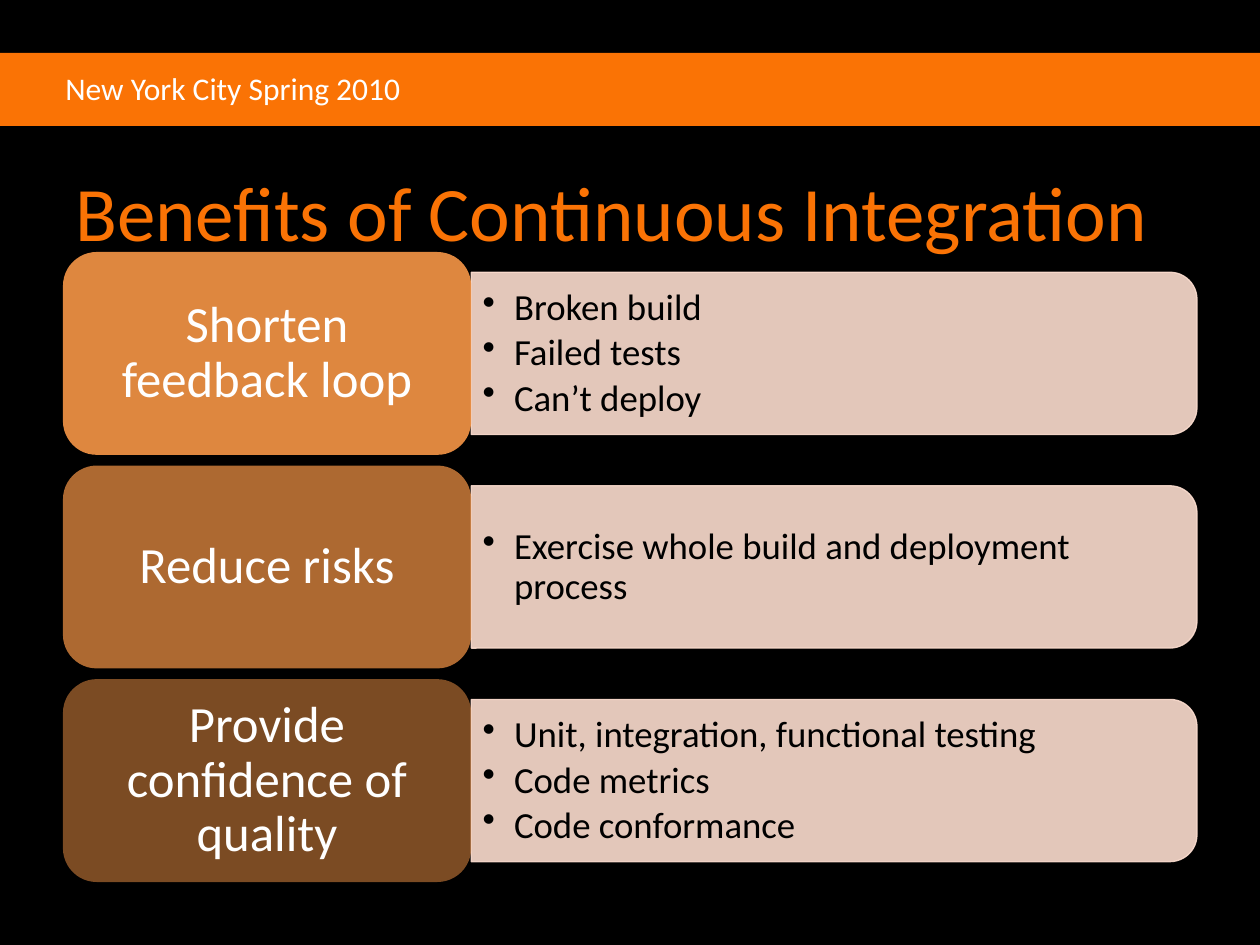
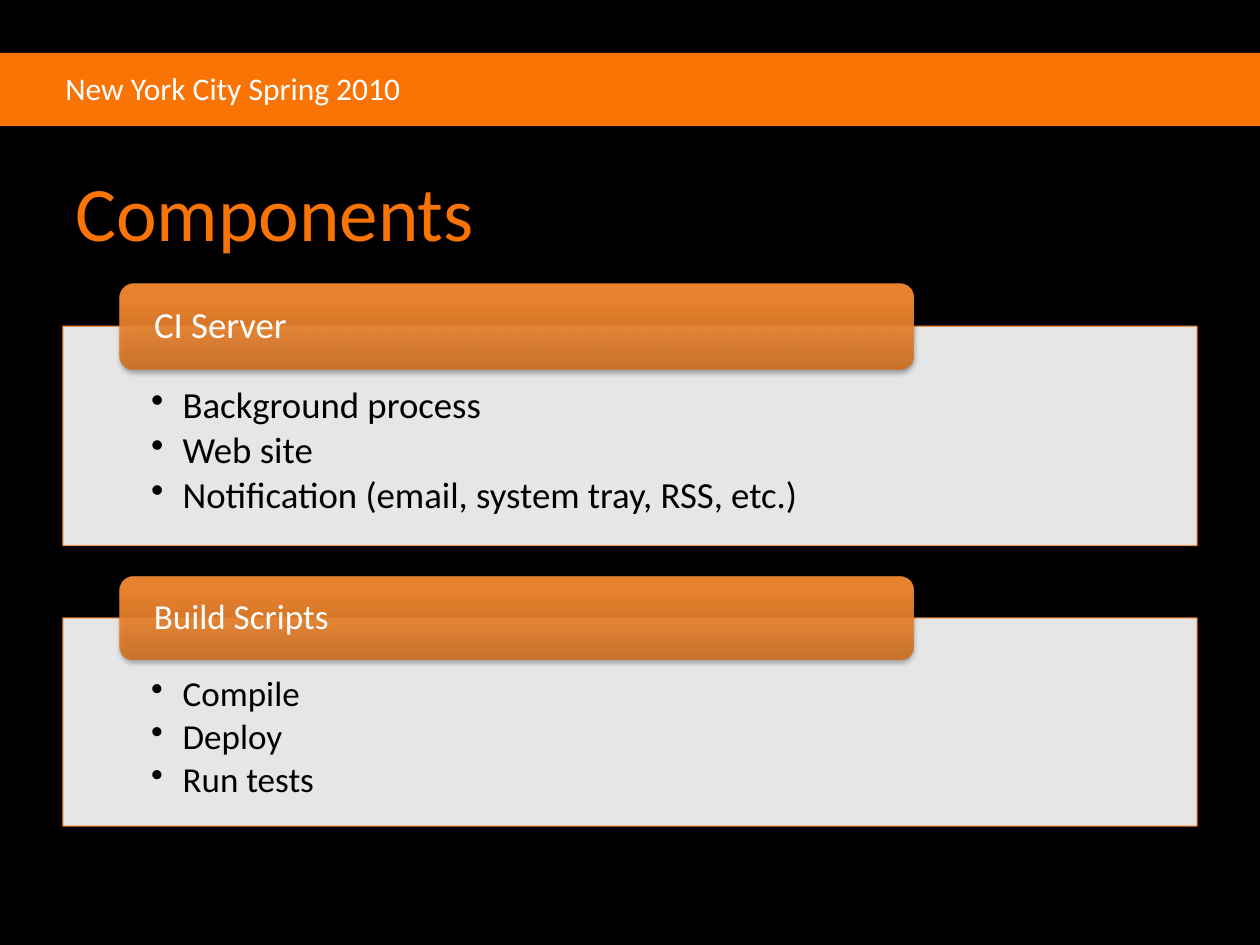
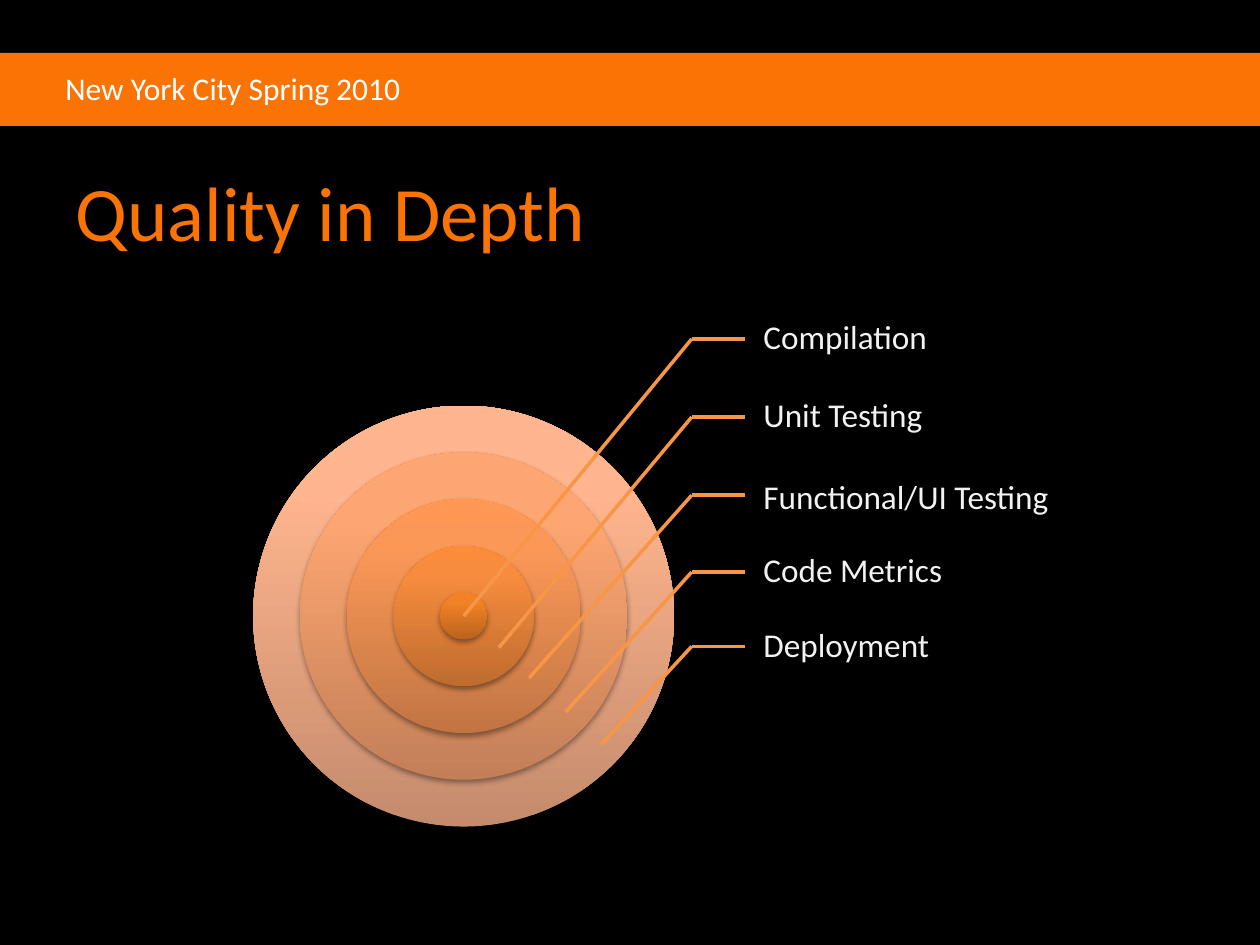
"""Build three continuous integration slides: benefits, components and quality in depth."""
import dataclasses

import lxml.etree
import pptx
import pptx.dml.color
import pptx.enum.shapes
import pptx.enum.text
import pptx.oxml.ns
import pptx.util

SHAPE = pptx.enum.shapes.MSO_SHAPE
ALIGN = pptx.enum.text.PP_ALIGN
ANCHOR = pptx.enum.text.MSO_ANCHOR
qn = pptx.oxml.ns.qn


@dataclasses.dataclass(frozen=True)
class Theme:
    font: str = "Calibri"
    back: str = "000000"
    brand: str = "FA7305"
    accent: str = "F79646"
    pale: str = "FCDDCF"
    light: str = "FFFFFF"
    dark: str = "000000"
    label: str = "F2F2F2"
    button: tuple = ("CC6E20", "FF9034", "FF9136")
    rings: tuple = (
        ("C48B6D", "FFB58D", "FFB68F"),
        ("C37F57", "FEA671", "FFA672"),
        ("C17543", "FB9857", "FF9854"),
        ("BE6C2F", "F78C3E", "FB8C3A"),
        ("B9641D", "F18226", "F68222"),
    )
    title_size: int = 44
    heading_size: int = 29
    body_size: int = 21
    label_size: int = 19
    event_size: int = 18


def rgb(color):
    return pptx.dml.color.RGBColor.from_string(color)


def add(parent, tag, **attrs):
    child = lxml.etree.SubElement(parent, qn(tag))
    for name, value in attrs.items():
        child.set(name, str(value))
    return child


class Deck:
    COLS = 10
    LEFT, WIDTH = 0.5, 9

    def __init__(self, theme):
        self.theme = theme
        self.prs = pptx.Presentation()
        self.prs.slide_width = pptx.util.Inches(10)
        self.prs.slide_height = pptx.util.Inches(7.5)
        self.cell = self.prs.slide_width / self.COLS
        fill = self.prs.slide_master.background.fill
        fill.solid()
        fill.fore_color.rgb = rgb(theme.back)

    def grid(self, *cells):
        return [round(n * self.cell) for n in cells]

    def new_slide(self, title):
        t = self.theme
        self.slide = self.prs.slides.add_slide(self.prs.slide_layouts[6])
        self.shape(SHAPE.RECTANGLE, (0, 0.42, 10, 0.58), t.brand)
        sp = self.text((0.42, 0.5, 2.89, 0.4), ["New York City Spring 2010"], t.event_size, t.light)
        sp.text_frame.word_wrap = False
        sp.text_frame.auto_size = pptx.enum.text.MSO_AUTO_SIZE.SHAPE_TO_FIT_TEXT
        self.text((self.LEFT, 1.17, self.WIDTH, 1), [title], t.title_size, t.brand,
                  anchor=ANCHOR.MIDDLE)

    def shape(self, kind, at, fill, line=None, alpha=100, shadow=None):
        sp = self.slide.shapes.add_shape(kind, *self.grid(*at))
        sp.shadow.inherit = False
        props = sp._element.spPr
        if isinstance(fill, tuple):
            self.gradient(sp, fill)
        else:
            sp.fill.solid()
            sp.fill.fore_color.rgb = rgb(fill)
        if line:
            sp.line.color.rgb = rgb(line)
            sp.line.width = pptx.util.Pt(0.75)
        else:
            sp.line.fill.background()
        if alpha < 100:
            for clr in props.iter(qn("a:srgbClr")):
                add(clr, "a:alpha", val=alpha * 1000)
        if shadow:
            opacity, distance = shadow
            outer = add(props.find(qn("a:effectLst")), "a:outerShdw", blurRad=pptx.util.Pt(3.1),
                        dist=pptx.util.Pt(distance), dir=90 * 60000, rotWithShape=0)
            add(add(outer, "a:srgbClr", val=self.theme.dark), "a:alpha", val=opacity * 1000)
        return sp

    def gradient(self, sp, colors):
        sp.fill.gradient()
        sp.fill.gradient_angle = 90
        stops = next(sp._element.spPr.iter(qn("a:gsLst")))
        del stops[:]
        for share, color in zip((0, 80, 100), colors):
            add(add(stops, "a:gs", pos=share * 1000), "a:srgbClr", val=color)

    def side_tab(self, x, y, w, h):
        at = (x + (w - h) / 2, y + (h - w) / 2, h, w)
        sp = self.shape(SHAPE.ROUND_2_SAME_RECTANGLE, at, self.theme.pale, self.theme.pale, 90)
        sp.rotation = 90

    def text(self, at, lines, size, color, **layout):
        sp = self.slide.shapes.add_textbox(*self.grid(*at))
        self.fill_text(sp, lines, size, color, **layout)
        return sp

    def fill_text(self, sp, lines, size, color, insets=(0.1, 0.05, 0.1, 0.05),
                  anchor=ANCHOR.TOP, align=ALIGN.LEFT, after=None, bullets=False):
        tf = sp.text_frame
        tf.word_wrap = True
        tf.vertical_anchor = anchor
        tf.margin_left, tf.margin_top, tf.margin_right, tf.margin_bottom = self.grid(*insets)
        tf.text = "\n".join(lines)
        for p in tf.paragraphs:
            p.alignment = align
            props = p._p.get_or_add_pPr()
            if after:
                p.line_spacing = 0.9
                add(add(props, "a:spcAft"), "a:spcPct", val=after * 1000)
            if bullets:
                p.level = 1
                indent, = self.grid(0.25)
                props.set("marL", str(indent))
                props.set("indent", str(-indent))
                add(props, "a:buChar", char="•")
            for r in p.runs:
                r.font.name = self.theme.font
                r.font.size = pptx.util.Pt(size)
                r.font.color.rgb = rgb(color)

    def line(self, start, end):
        sp = self.slide.shapes.add_connector(pptx.enum.shapes.MSO_CONNECTOR.STRAIGHT,
                                             *self.grid(*start, *end))
        sp.line.color.rgb = rgb(self.theme.accent)
        sp.line.width = pptx.util.Pt(2)
        add(sp._element.spPr, "a:effectLst")

    def benefit(self, y, h, heading, points, alpha):
        t = self.theme
        split = self.LEFT + 0.36 * self.WIDTH
        tab = 0.8 * h
        self.side_tab(split, y + (h - tab) / 2, 0.64 * self.WIDTH, tab)
        self.text((split, y + 0.23, 5.7, 1.16), points, t.body_size, t.dark,
                  insets=(0.09, 0.04, 0.09, 0.04), anchor=ANCHOR.MIDDLE, after=15, bullets=True)
        sp = self.shape(SHAPE.ROUNDED_RECTANGLE, (self.LEFT, y, split - self.LEFT, h),
                        t.accent, alpha=alpha)
        self.fill_text(sp, [heading], t.heading_size, t.light, insets=(0.12, 0.06, 0.12, 0.06),
                       anchor=ANCHOR.MIDDLE, align=ALIGN.CENTER, after=35)

    def component(self, y, button_h, panel_h, pad, size, heading, points):
        t = self.theme
        sp = self.shape(SHAPE.RECTANGLE, (self.LEFT, y + button_h / 2, self.WIDTH, panel_h),
                        t.light, t.accent, 90)
        self.fill_text(sp, points, size, t.dark, insets=(0.7, pad, 0.7, 0.16), after=15,
                       bullets=True)
        at = (self.LEFT + 0.05 * self.WIDTH, y, 0.7 * self.WIDTH, button_h)
        sp = self.shape(SHAPE.ROUNDED_RECTANGLE, at, t.button, alpha=90, shadow=(35, 1.8))
        self.fill_text(sp, [heading], size, t.light, insets=(0.24, 0, 0.24, 0),
                       anchor=ANCHOR.MIDDLE, after=35)

    def target(self, x, y, diameter):
        rings = self.theme.rings
        parts = 2 * len(rings) - 1
        for i, colors in enumerate(rings):
            d = diameter * (parts - 2 * i) / parts
            self.shape(SHAPE.OVAL, (x - d / 2, y - d / 2, d, d), colors, shadow=(38, 1.6))

    def callout(self, label, y, tip, width=1.67, drop=0):
        t = self.theme
        elbow, edge, h = 5.49, 5.91, 0.59
        self.text((edge, y - h / 2 + drop, width, h), [label], t.label_size, t.label,
                  insets=(0.15, 0.03, 0.03, 0.03), anchor=ANCHOR.MIDDLE, after=35)
        self.line((elbow, y), (edge, y))
        self.line((elbow, y), tip)


deck = Deck(Theme())

deck.new_slide("Benefits of Continuous Integration")
benefits = [
    ("Shorten feedback loop", ["Broken build", "Failed tests", "Can’t deploy"], 90),
    ("Reduce risks", ["Exercise whole build and deployment process"], 70),
    ("Provide confidence of quality",
     ["Unit, integration, functional testing", "Code metrics", "Code conformance"], 50),
]
top, bottom, height = 2, 7, 1.61
pitch = (bottom - top - height) / (len(benefits) - 1)
for i, benefit in enumerate(benefits):
    deck.benefit(top + i * pitch, height, *benefit)

deck.new_slide("Components")
deck.component(2.25, 0.68, 1.74, 0.48, 21, "CI Server",
               ["Background process", "Web site", "Notification (email, system tray, RSS, etc.)"])
deck.component(4.58, 0.65, 1.65, 0.46, 20, "Build Scripts", ["Compile", "Deploy", "Run tests"])

deck.new_slide("Quality in Depth")
center = (3.68, 4.89)
deck.target(*center, 3.34)
deck.callout("Compilation", 2.69, center)
deck.callout("Unit Testing", 3.31, (3.96, 5.14))
deck.callout("Functional/UI Testing", 3.93, (4.2, 5.38), width=2.5, drop=0.03)
deck.callout("Code Metrics", 4.54, (4.49, 5.65))
deck.callout("Deployment", 5.13, (4.77, 5.91))

deck.prs.save("out.pptx")
